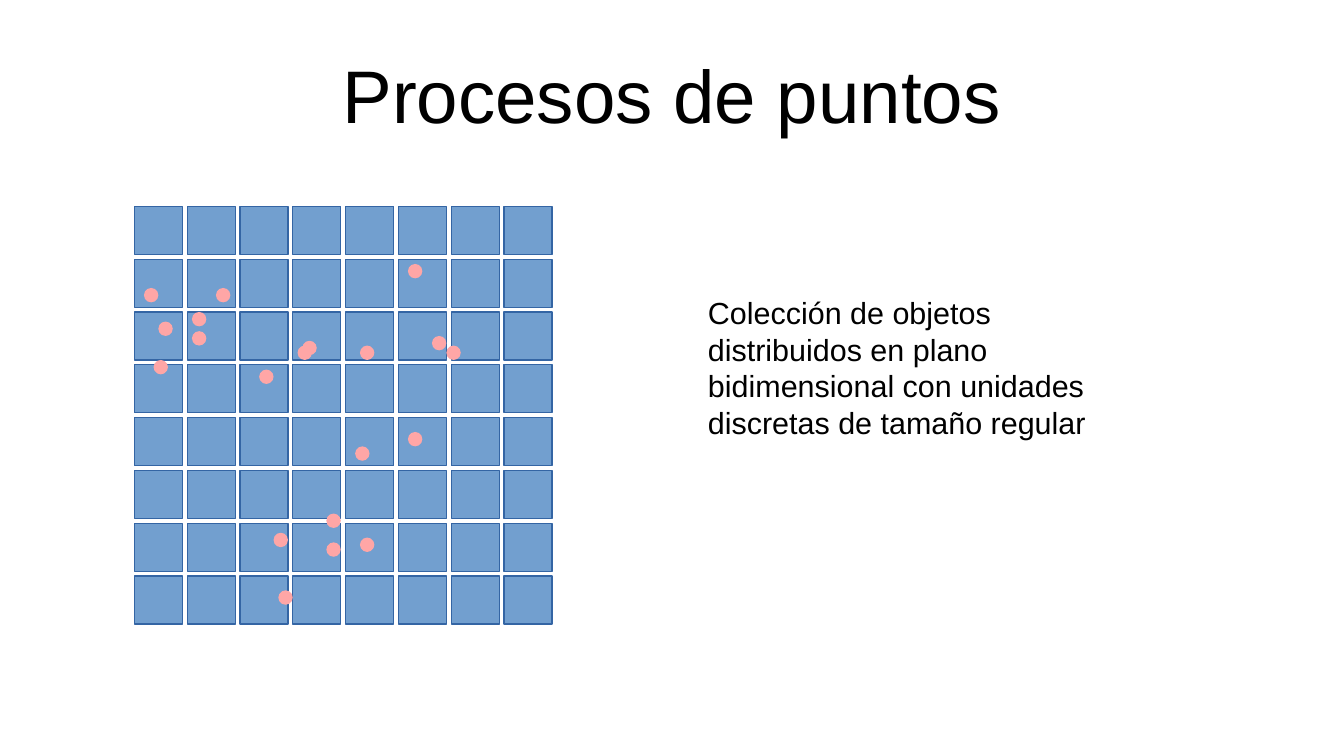
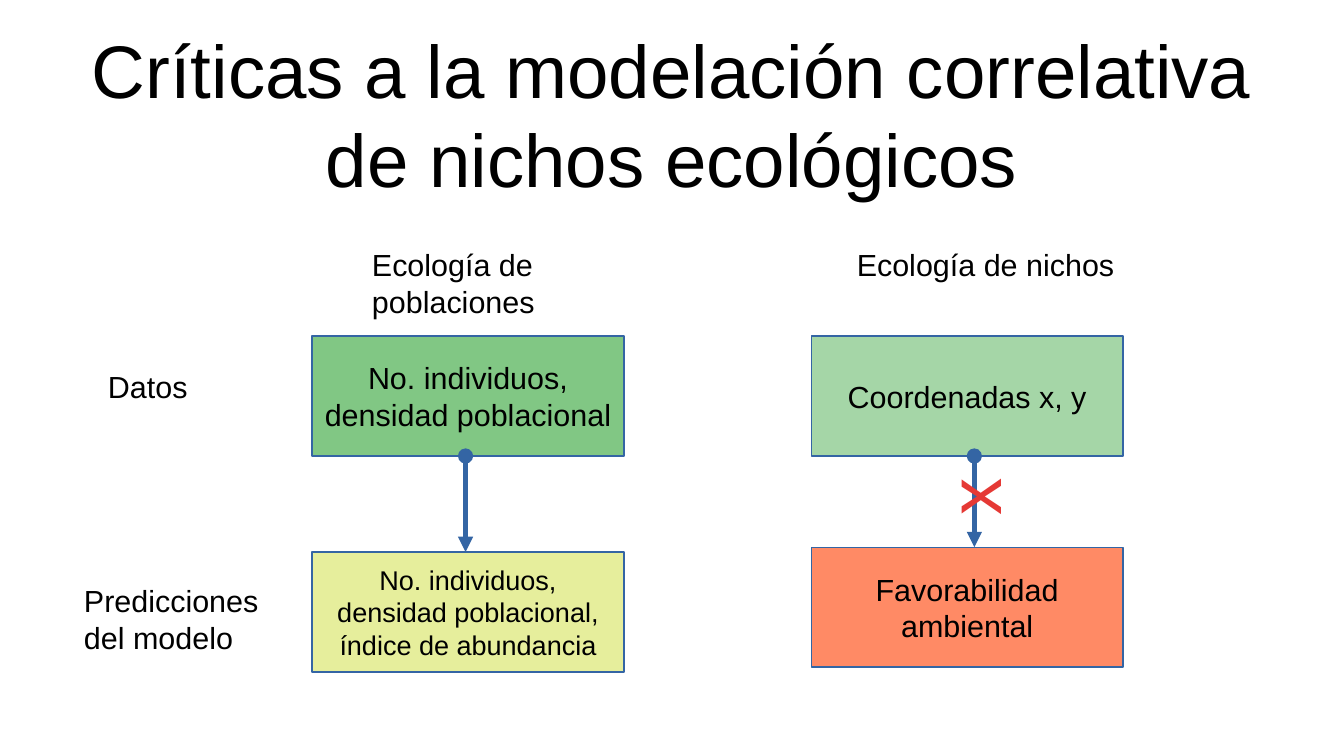
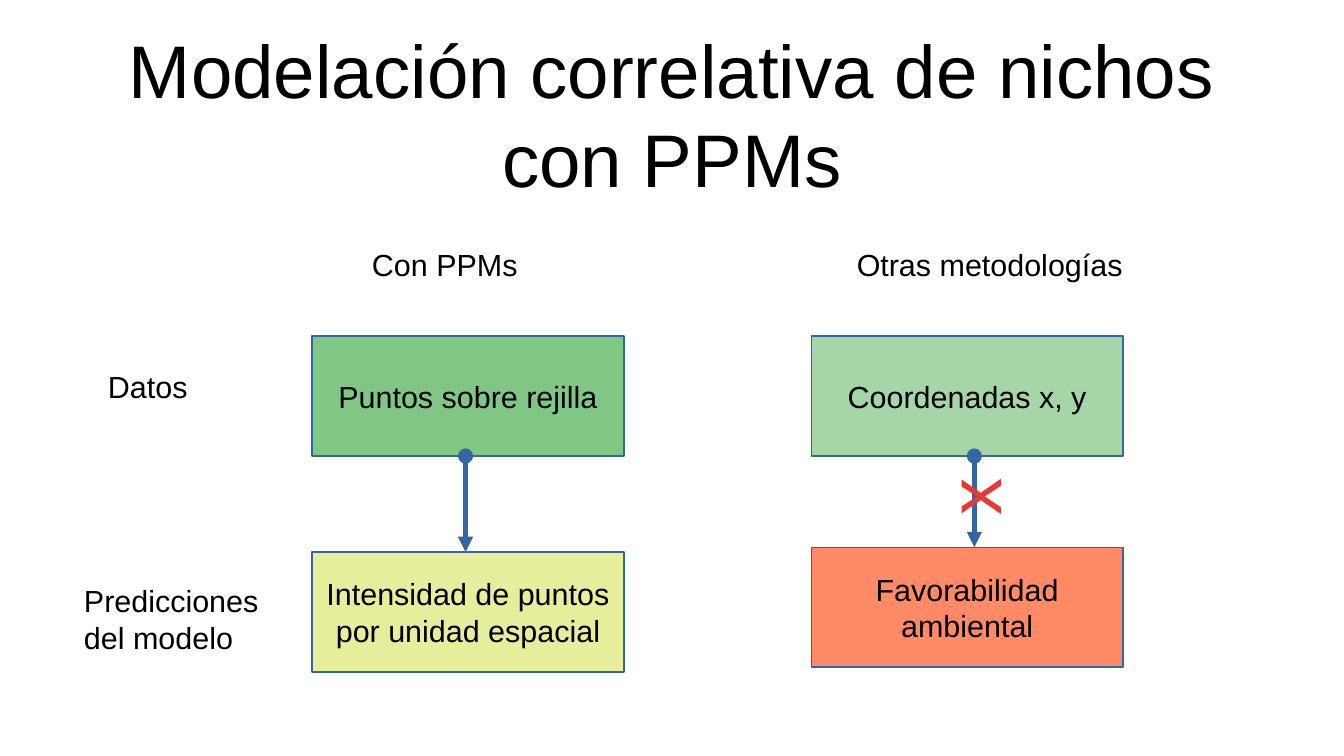
from itertools import product

from lxml import etree
from pptx import Presentation
from pptx.dml.color import RGBColor
from pptx.enum.shapes import MSO_CONNECTOR, MSO_SHAPE
from pptx.enum.text import MSO_ANCHOR as Anchor, MSO_AUTO_SIZE as AutoSize, PP_ALIGN as Align
from pptx.oxml.ns import qn
from pptx.util import Cm, Pt

FONT = "Arial"
BLACK, BLUE, CELL_BLUE, PINK, RED = "000000", "3465A4", "729FCF", "FFA6A6", "E53935"
GREEN, LIGHT_GREEN, LIME, ORANGE = "81C784", "A5D6A7", "E6EE9C", "FF8A65"
TITLE_ONLY = 5

CELLS_PER_SIDE, CELL_SIZE, CELL_PITCH, POINT_SIZE = 8, 1, 1.1, 0.3
# Left and top of each point, in cm from the corner of the grid
POINTS = [
    (0.2, 1.7), (1.2, 2.2), (1.7, 1.7), (1.2, 2.6), (2.6, 3.4),
    (3.4, 2.9), (3.5, 2.8), (4.7, 2.9), (4.7, 6.9), (4.0, 7.0),
    (4.0, 6.4), (4.6, 5.0), (3.0, 8.0), (2.9, 6.8), (0.5, 2.4),
    (0.4, 3.2), (5.7, 1.2), (6.5, 2.9), (6.2, 2.7), (5.7, 4.7),
]

BOX_WIDTH, BOX_HEIGHT = 6.5, 2.5


def color(value):
    return RGBColor.from_string(value)


def lengths(*values):
    return [Cm(value) for value in values]


def write(shape, text, size=18, text_color=BLACK, align=Align.LEFT, anchor=Anchor.TOP):
    frame = shape.text_frame
    frame.word_wrap = True
    frame.auto_size = AutoSize.NONE
    frame.vertical_anchor = anchor
    frame.text = text
    paragraph = frame.paragraphs[0]
    paragraph.alignment = align
    font = paragraph.runs[0].font
    font.name, font.size = FONT, Pt(size)
    font.color.rgb = color(text_color)


def add_text(slide, box, text, **style):
    shape = slide.shapes.add_textbox(*lengths(*box))
    write(shape, text, **style)
    return shape


def add_figure(shapes, kind, box, fill, line=None):
    """Add a filled preset shape, with a hairline border if a line colour is given."""
    shape = shapes.add_shape(kind, *lengths(*box))
    shape.shadow.inherit = False
    shape.fill.solid()
    shape.fill.fore_color.rgb = color(fill)
    if line:
        shape.line.color.rgb = color(line)
        shape.line.width = Pt(0)
    else:
        shape.line.fill.background()
    return shape


def add_titled_slide(presentation, text, top, height):
    slide = presentation.slides.add_slide(presentation.slide_layouts[TITLE_ONLY])
    title = slide.shapes.title
    title.left, title.top, title.width, title.height = lengths(1.4, top, 25.2, height)
    write(title, text, size=44, align=Align.CENTER, anchor=Anchor.MIDDLE)
    frame = title.text_frame
    frame.margin_left = frame.margin_right = frame.margin_top = frame.margin_bottom = 0
    return slide


def add_point_grid(slide, left, top):
    cells = slide.shapes.add_group_shape().shapes
    for row, column in product(range(CELLS_PER_SIDE), repeat=2):
        box = (left + column * CELL_PITCH, top + row * CELL_PITCH, CELL_SIZE, CELL_SIZE)
        add_figure(cells, MSO_SHAPE.FLOWCHART_PROCESS, box, CELL_BLUE, BLUE)
    points = slide.shapes.add_group_shape().shapes
    for x, y in POINTS:
        box = (left + x, top + y, POINT_SIZE, POINT_SIZE)
        add_figure(points, MSO_SHAPE.OVAL, box, PINK)


def add_down_arrow(slide, x, top, bottom):
    arrow = slide.shapes.add_connector(MSO_CONNECTOR.STRAIGHT, *lengths(x, top, x, bottom))
    arrow.line.color.rgb = color(BLUE)
    arrow.line.width = Pt(3)
    line = arrow.line._get_or_add_ln()
    etree.SubElement(line, qn("a:headEnd"), type="oval")
    etree.SubElement(line, qn("a:tailEnd"), type="triangle")
    etree.SubElement(arrow._element.spPr, qn("a:effectLst"))


def add_box(slide, left, top, text, fill, size=18):
    box = add_figure(slide.shapes, MSO_SHAPE.RECTANGLE,
                     (left, top, BOX_WIDTH, BOX_HEIGHT), fill, BLUE)
    write(box, text, size=size, align=Align.CENTER, anchor=Anchor.MIDDLE)


def add_flow(slide, left, top, heading, data, prediction, fills,
             heading_shift, arrow_shift, gap, prediction_size=18):
    """Add a heading and two boxes joined by an arrow; top is that of the first box."""
    add_text(slide, (left + heading_shift, top - 2, BOX_WIDTH, 1.7), heading)
    data_bottom = top + BOX_HEIGHT
    prediction_top = data_bottom + gap
    add_box(slide, left, top, data, fills[0])
    add_box(slide, left, prediction_top, prediction, fills[1], prediction_size)
    add_down_arrow(slide, left + arrow_shift, data_bottom, prediction_top)


def add_cross(slide, left, top):
    cross = add_text(slide, (left, top, 1.27, 1.98), "x", size=44, text_color=RED)
    cross.text_frame.word_wrap = False
    cross.rotation = 270


def add_comparison_slide(presentation, title, headings, data, prediction, prediction_size=18):
    slide = add_titled_slide(presentation, title, 0.62, 3.48)
    add_text(slide, (2, 7.55, 3.5, 0.97), "Datos")
    add_text(slide, (1.5, 12, 4.5, 2.4), "Predicciones del modelo")
    add_flow(slide, 6.5, 7, headings[0], data, prediction, (GREEN, LIME),
             heading_shift=1, arrow_shift=3.2, gap=2, prediction_size=prediction_size)
    add_flow(slide, 16.9, 7, headings[1], "Coordenadas x, y", "Favorabilidad ambiental",
             (LIGHT_GREEN, ORANGE), heading_shift=0.7, arrow_shift=3.4, gap=1.9)
    add_cross(slide, 19.55, 9.37)


def add_points_slide(presentation):
    slide = add_titled_slide(presentation, "Procesos de puntos", 0.63, 2.63)
    add_point_grid(slide, 2.8, 4.3)
    add_text(slide, (14.5, 6, 9, 3.1),
             "Colección de objetos distribuidos en plano bidimensional "
             "con unidades discretas de tamaño regular")


def main():
    presentation = Presentation()
    presentation.slide_width, presentation.slide_height = lengths(28, 15.75)
    add_points_slide(presentation)
    add_comparison_slide(
        presentation, "Críticas a la modelación correlativa de nichos ecológicos",
        ("Ecología de poblaciones", "Ecología de nichos"),
        "No. individuos, densidad poblacional",
        "No. individuos, densidad poblacional, índice de abundancia", prediction_size=16)
    add_comparison_slide(
        presentation, "Modelación correlativa de nichos con PPMs",
        ("Con PPMs", "Otras metodologías"),
        "Puntos sobre rejilla", "Intensidad de puntos por unidad espacial")
    presentation.save("out.pptx")


if __name__ == "__main__":
    main()
